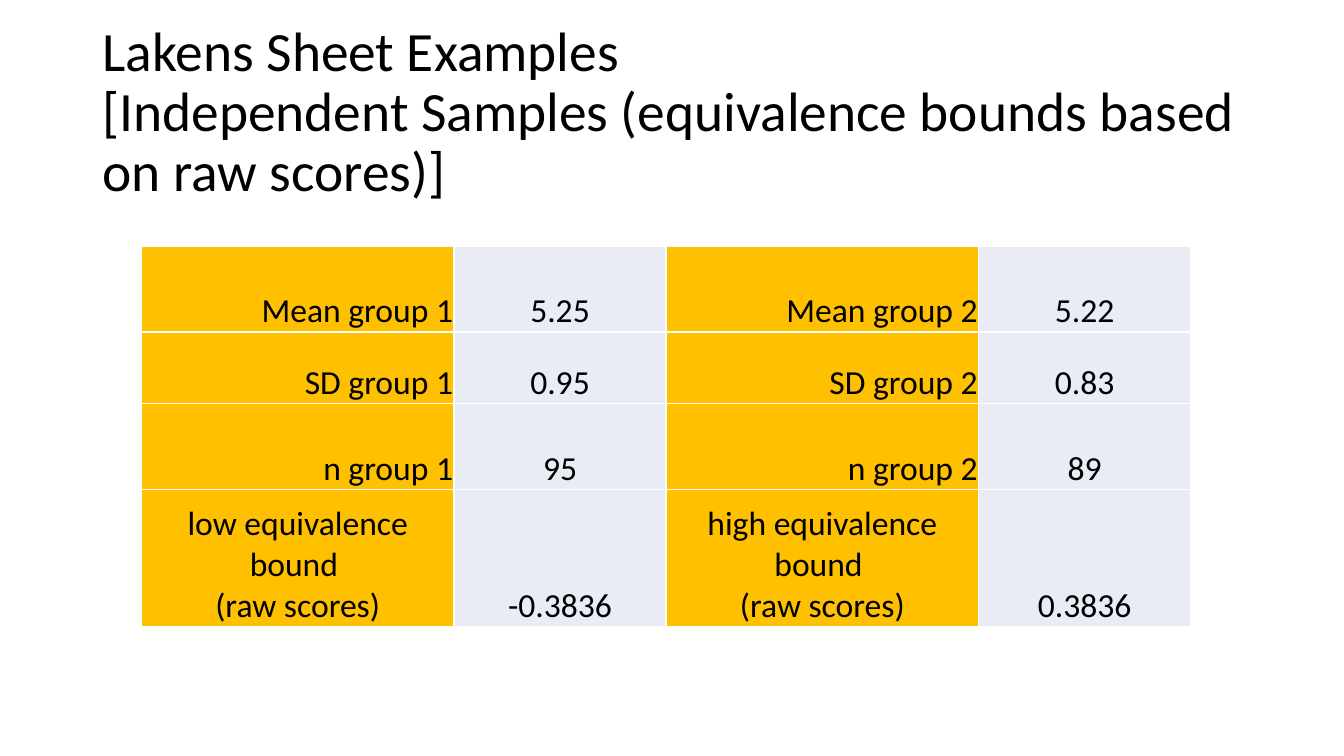
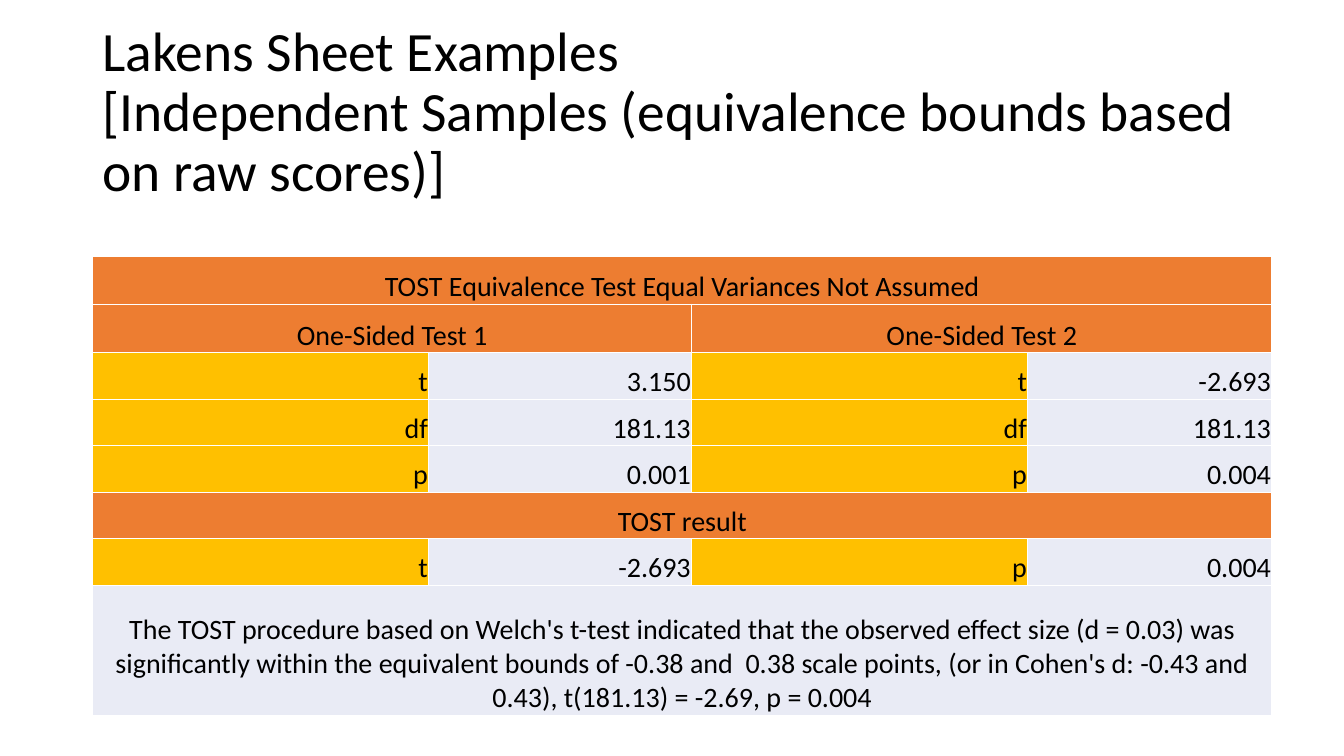
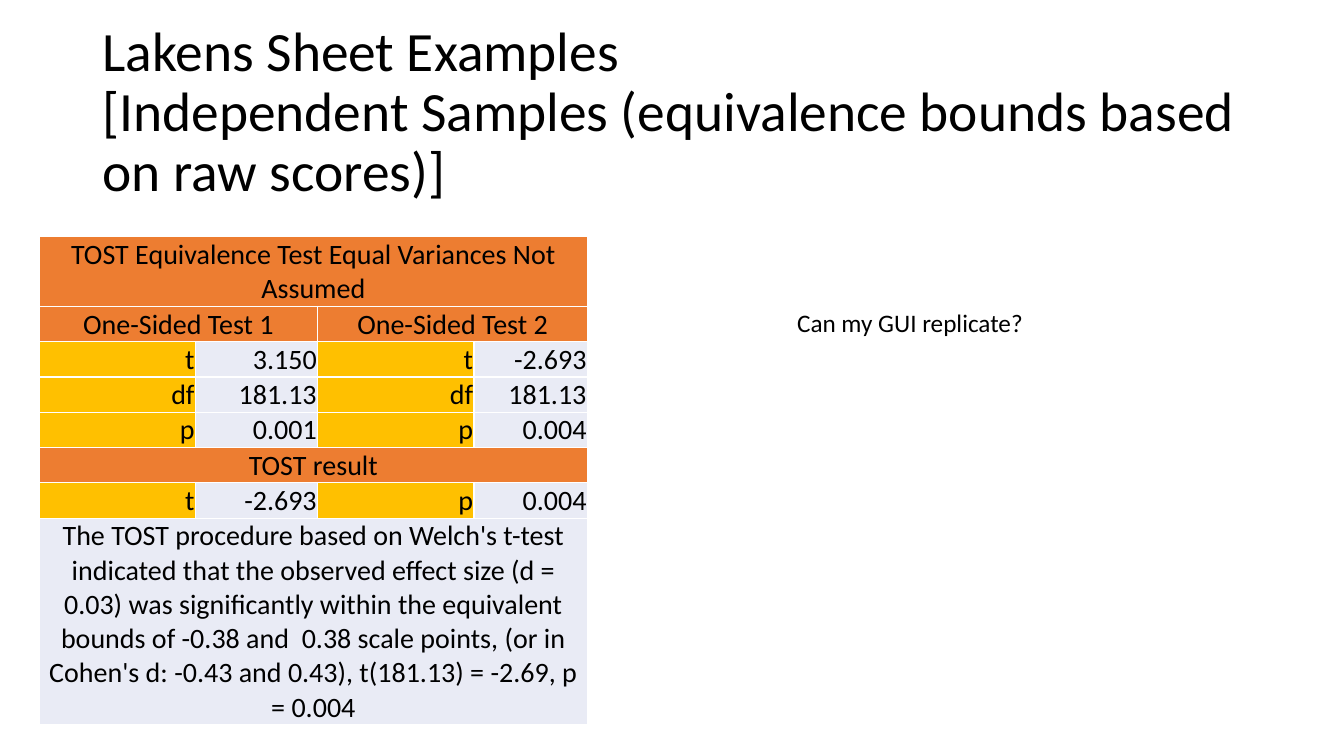
import pptx
import pptx.util
import pptx.dml.color
import pptx.enum.text
import pptx.oxml
import pptx.oxml.ns

Pt = pptx.util.Pt
RGB = pptx.dml.color.RGBColor
ALIGN = pptx.enum.text.PP_ALIGN
ANCHOR = pptx.enum.text.MSO_ANCHOR
FIT = pptx.enum.text.MSO_AUTO_SIZE

# Shared look
BLACK = RGB(0x00, 0x00, 0x00)
WHITE = RGB(0xFF, 0xFF, 0xFF)
AMBER = RGB(0xFF, 0xC0, 0x00)
ORANGE = RGB(0xED, 0x7D, 0x31)
PALE = RGB(0xE9, 0xEB, 0xF5)
FONT = "Calibri"
TITLE = ("Lakens Sheet Examples \v"
         "[Independent Samples (equivalence bounds based on raw scores)]")

# Table contents; a row with fewer than four cells spans the width evenly
GROUPS = [
    ["Mean group 1", "5.25", "Mean group 2", "5.22"],
    ["SD group 1", "0.95", "SD group 2", "0.83"],
    ["n group 1", "95", "n group 2", "89"],
    ["low equivalence bound \v(raw scores)", "-0.3836",
     "high equivalence bound \v(raw scores)", "0.3836"],
]
NOTE = ("The TOST procedure based on Welch's t-test indicated that the "
        "observed effect size (d = 0.03) was significantly within the "
        "equivalent bounds of -0.38 and  0.38 scale points, (or in Cohen's "
        "d: -0.43 and 0.43), t(181.13) = -2.69, p = 0.004")
TOST = [
    ["TOST Equivalence Test Equal Variances Not Assumed"],
    ["One-Sided Test 1", "One-Sided Test 2"],
    ["t", "3.150", "t", "-2.693"],
    ["df", "181.13", "df", "181.13"],
    ["p", "0.001", "p", "0.004"],
    ["TOST result"],
    ["t", "-2.693", "p", "0.004"],
    [NOTE],
]
EVEN = [0.298, 0.202, 0.298, 0.202]
SHARES = [0.285, 0.223, 0.285, 0.207]


def style(par, size, align=ALIGN.LEFT):
    par.alignment = align
    for run in par.runs:
        run.font.name = FONT
        run.font.size = Pt(size)
        run.font.color.rgb = BLACK


def base(deck):
    """Set the title size on the master, so line breaks share it."""
    level = deck.slide_master.element.find(
        ".//" + pptx.oxml.ns.qn("p:titleStyle") + "/" + pptx.oxml.ns.qn("a:lvl1pPr"))
    level.find(pptx.oxml.ns.qn("a:defRPr")).set("sz", "3960")


def page(deck):
    """Add a slide with the common title."""
    slide = deck.slides.add_slide(deck.slide_layouts[5])
    title = slide.shapes.title
    title.left, title.top = Pt(66), Pt(28.8)
    title.width, title.height = Pt(828), Pt(104.4)
    frame = title.text_frame
    frame.text = TITLE
    frame.word_wrap = True
    frame.auto_size = FIT.NONE
    frame.vertical_anchor = ANCHOR.MIDDLE
    par = frame.paragraphs[0]
    par.line_spacing = 0.9
    style(par, 39.6)
    return slide


def border(cell):
    props = cell._tc.get_or_add_tcPr()
    for spot, side in enumerate(("lnL", "lnR", "lnT", "lnB")):
        props.insert(spot, pptx.oxml.parse_xml(
            f'<a:{side} {pptx.oxml.ns.nsdecls("a")} w="12700"><a:solidFill>'
            f'<a:srgbClr val="{WHITE}"/></a:solidFill></a:{side}>'))


def paint(cell, fill):
    cell.fill.solid()
    cell.fill.fore_color.rgb = fill
    border(cell)


def fill_of(text, span, col):
    if text == NOTE:
        return PALE
    if span > 1:
        return ORANGE
    return PALE if col % 2 else AMBER


def grid(slide, box, rows, shares, heights, size, values):
    """Draw a four-column table in box (left, top, width)."""
    left, top, width = box
    table = slide.shapes.add_table(
        len(rows), 4, Pt(left), Pt(top), Pt(width), Pt(sum(heights))).table
    table.first_row = table.horz_banding = False
    for col, share in zip(table.columns, shares):
        col.width = Pt(width * share)
    for r, (texts, high) in enumerate(zip(rows, heights)):
        table.rows[r].height = Pt(high)
        span = 4 // len(texts)
        for i, text in enumerate(texts):
            col = i * span
            cell = table.cell(r, col)
            for part in range(col, col + span):
                paint(table.cell(r, part), fill_of(text, span, col))
            if span > 1:
                cell.merge(table.cell(r, col + span - 1))
            # Labels sit right; spans and two-line labels are centred
            align = values if col % 2 else ALIGN.RIGHT
            if span > 1 or "\v" in text:
                align = ALIGN.CENTER
            cell.text_frame.text = text
            cell.vertical_anchor = ANCHOR.BOTTOM
            cell.margin_left = cell.margin_right = cell.margin_top = Pt(0.7)
            cell.margin_bottom = 0
            style(cell.text_frame.paragraphs[0], size, align)


def remark(slide, box, text):
    left, top, width, height = box
    frame = slide.shapes.add_textbox(
        Pt(left), Pt(top), Pt(width), Pt(height)).text_frame
    frame.word_wrap = True
    frame.auto_size = FIT.SHAPE_TO_FIT_TEXT
    frame.text = text
    style(frame.paragraphs[0], 18)


def main():
    deck = pptx.Presentation()
    deck.slide_width, deck.slide_height = Pt(960), Pt(540)
    base(deck)

    # Group inputs
    grid(page(deck), (101, 176, 749.5), GROUPS, EVEN,
         [61.2, 51.2, 61.2, 98], 24, ALIGN.CENTER)

    # Test results, full width
    grid(page(deck), (66.2, 183, 842.4), TOST, SHARES,
         [34.5] * 2 + [33.2] * 5 + [93], 20, ALIGN.RIGHT)

    # Test results beside a question
    slide = page(deck)
    grid(slide, (28, 169.2, 391.7), TOST, SHARES,
         [21] * 7 + [101], 20, ALIGN.RIGHT)
    remark(slide, (562.3, 216, 316.8, 29), "Can my GUI replicate?")

    deck.save("out.pptx")


if __name__ == "__main__":
    main()
